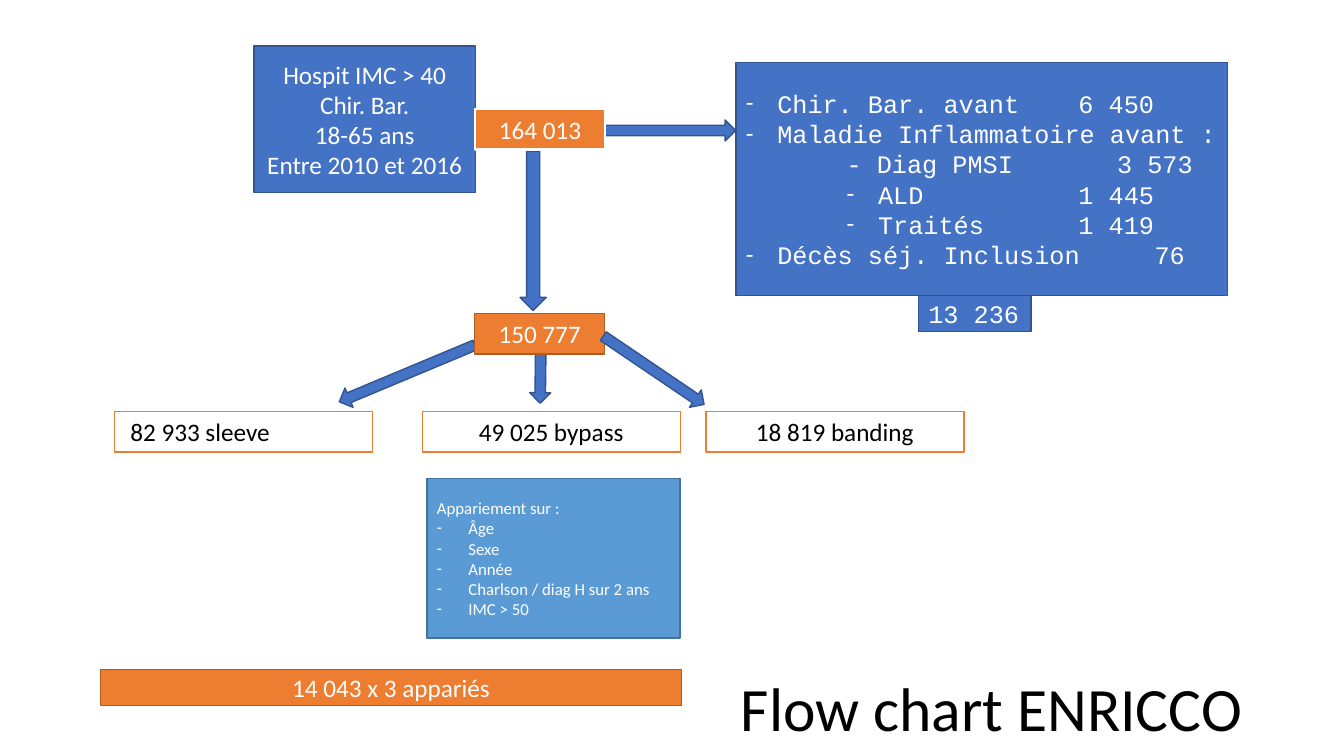
"""Build the ENRICCO study flow chart slide."""
import lxml.etree
import pptx
import pptx.dml.color
import pptx.enum.shapes
import pptx.enum.text
import pptx.oxml.ns
import pptx.util

Pt = pptx.util.Pt
SHAPE = pptx.enum.shapes.MSO_SHAPE
ANCHOR = pptx.enum.text.MSO_ANCHOR
ALIGN = pptx.enum.text.PP_ALIGN

BLUE, BLUE_EDGE = "4472C4", "325490"
SKY, SKY_EDGE = "5B9BD5", "43729D"
ORANGE, ORANGE_EDGE = "ED7D31", "AF5C24"
WHITE, BLACK = "FFFFFF", "000000"
HANGING = 22.5
COUNT_HEIGHT = 29
ARROW_HEIGHT = 15


def color(value):
    """Turn a hex string into a colour."""
    return pptx.dml.color.RGBColor.from_string(value)


def add_block(shapes, kind, box, fill, edge, edge_width=1):
    """Add a filled, outlined preset shape in a box given in points."""
    shape = shapes.add_shape(kind, *(Pt(length) for length in box))
    shape.shadow.inherit = False
    shape.fill.solid()
    shape.fill.fore_color.rgb = color(fill)
    shape.line.color.rgb = color(edge)
    shape.line.width = Pt(edge_width)
    return shape


def add_arrow(shapes, box, rotation=0, kind=SHAPE.RIGHT_ARROW):
    """Add a blue block arrow turned by the given degrees."""
    shape = add_block(shapes, kind, box, BLUE, BLUE_EDGE)
    shape.rotation = rotation


def write(shape, lines, size=18, font="Calibri", ink=WHITE,
          align=ALIGN.CENTER, anchor=ANCHOR.MIDDLE):
    """Write one paragraph per line and format every run."""
    frame = shape.text_frame
    frame.word_wrap = True
    frame.vertical_anchor = anchor
    frame.text = "\n".join(lines)
    for paragraph in frame.paragraphs:
        paragraph.alignment = align
        for run in paragraph.runs:
            run.font.size = Pt(size)
            run.font.name = font
            run.font.color.rgb = color(ink)
    return frame.paragraphs


def indent(paragraph, left, bullet=True):
    """Indent a paragraph, with a hanging dash if it is bulleted."""
    properties = paragraph._p.get_or_add_pPr()
    properties.set("marL", str(Pt(left)))
    properties.set("indent", str(Pt(-HANGING if bullet else 0)))
    if bullet:
        for tag, name, value in (("a:buFont", "typeface", "Calibri"),
                                 ("a:buChar", "char", "-")):
            lxml.etree.SubElement(
                properties, pptx.oxml.ns.qn(tag)).set(name, value)


def add_title(slide, box):
    """Place and format the slide title."""
    title = slide.shapes.title
    title.left, title.top, title.width, title.height = map(Pt, box)
    paragraph = write(title, ["Flow chart ENRICCO"], 44, ink=BLACK,
                      align=ALIGN.LEFT)[0]
    paragraph.line_spacing = 0.9


def add_count(shapes, box, text, fill=ORANGE, edge=ORANGE_EDGE,
              edge_width=1, ink=WHITE, align=ALIGN.CENTER):
    """Add a one-line patient count."""
    shape = add_block(shapes, SHAPE.RECTANGLE, box, fill, edge, edge_width)
    write(shape, [text], ink=ink, align=align, anchor=ANCHOR.TOP)


def add_inclusion(slide, box):
    """Add the inclusion criteria, their count and its two arrows."""
    left, top, width, height = box
    shapes = slide.shapes
    criteria = add_block(shapes, SHAPE.RECTANGLE, box, BLUE, BLUE_EDGE)
    write(criteria, ["Hospit IMC > 40", "Chir. Bar.\v18-65 ans",
                     "Entre 2010 et 2016"])
    right = left + width
    add_arrow(shapes, (right + 32, top + 75, 18.7, 113.8),
              kind=SHAPE.DOWN_ARROW)
    add_arrow(shapes, (right + 81, top + 52.7, 105, ARROW_HEIGHT))
    add_count(shapes, (right, top + 44.8, 92.5, COUNT_HEIGHT), "164 013",
              edge=WHITE, edge_width=1.5)


def add_exclusion(slide, box):
    """Add the grouped exclusion list and its total below."""
    left, top, width, height = box
    shapes = slide.shapes.add_group_shape().shapes
    panel = add_block(shapes, SHAPE.RECTANGLE, box, BLUE, BLUE_EDGE)
    rows = (
        ("Chir. Bar. avant\t6 450", 0, HANGING, True, 237.6),
        ("Maladie Inflammatoire avant :", 0, HANGING, True, None),
        ("- Diag PMSI\t3 573", 0, 72, False, 259.2),
        ("ALD\t1 445", 2, 72 + HANGING, True, 237.6),
        ("Traités\t1 419", 2, 72 + HANGING, True, 237.6),
        ("Décès séj. Inclusion\t76", 0, HANGING, True, 292),
    )
    paragraphs = write(panel, [row[0] for row in rows], font="Courier New",
                       align=ALIGN.LEFT)
    for paragraph, (_, level, margin, bullet, tab) in zip(paragraphs, rows):
        paragraph.level = level
        indent(paragraph, margin, bullet)
        if tab:
            paragraph._p.get_or_add_pPr().set("defTabSz", str(Pt(tab)))
    total = add_block(shapes, SHAPE.RECTANGLE,
                      (left + 130.4, top + height, 80.6, 26),
                      BLUE, BLUE_EDGE)
    write(total, ["13 236"], font="Courier New", align=ALIGN.LEFT)


def add_treatments(slide, box):
    """Add the retained count, its three arrows and the surgery groups."""
    left, top, width, height = box
    shapes = slide.shapes
    add_arrow(shapes, (left + 286.5, top + 39, 35, ARROW_HEIGHT), 90.7)
    add_arrow(shapes, (left + 156.3, top + 35.2, 105, ARROW_HEIGHT), 157.3)
    add_count(shapes, (left + 257, top, 93, COUNT_HEIGHT), "150 777")
    add_arrow(shapes, (left + 341.4, top + 33, 87, ARROW_HEIGHT), 34.1)
    group_width = 184.3
    group_top = top + height - COUNT_HEIGHT
    groups = ((0, " 82 933 sleeve", ALIGN.LEFT),
              (219.6, "49 025 bypass", ALIGN.CENTER),
              (width - group_width, "18 819 banding", ALIGN.CENTER))
    for offset, text, align in groups:
        add_count(shapes, (left + offset, group_top, group_width,
                           COUNT_HEIGHT),
                  text, WHITE, ORANGE, ink=BLACK, align=align)


def add_matching(slide, box):
    """Add the matching criteria and the bar of matched patients."""
    left, top, width, height = box
    shapes = slide.shapes
    criteria_width = 180.7
    criteria = add_block(
        shapes, SHAPE.RECTANGLE,
        (left + width - criteria_width - 1, top, criteria_width, 113.8),
        SKY, SKY_EDGE)
    paragraphs = write(criteria, [
        "Appariement sur :", "Âge", "Sexe", "Année",
        "Charlson / diag H sur 2 ans", "IMC > 50"], 12, align=ALIGN.LEFT)
    for paragraph in paragraphs[1:]:
        indent(paragraph, HANGING)
    bar = add_block(shapes, SHAPE.RECTANGLE,
                    (left, top + height - 26, width, 26),
                    ORANGE, ORANGE_EDGE)
    write(bar, ["14 043 x 3 appariés"])


def main():
    """Build and save the presentation."""
    presentation = pptx.Presentation()
    presentation.slide_width = Pt(960)
    presentation.slide_height = Pt(540)
    slide = presentation.slides.add_slide(presentation.slide_layouts[5])
    add_title(slide, (522, 478, 438, 61))
    add_matching(slide, (72, 342, 414.7, 162))
    add_inclusion(slide, (181.5, 33, 158, 104.6))
    add_exclusion(slide, (525.6, 44.6, 351.4, 166.4))
    add_treatments(slide, (82, 224, 606.5, 98.8))
    presentation.save("out.pptx")


if __name__ == "__main__":
    main()
